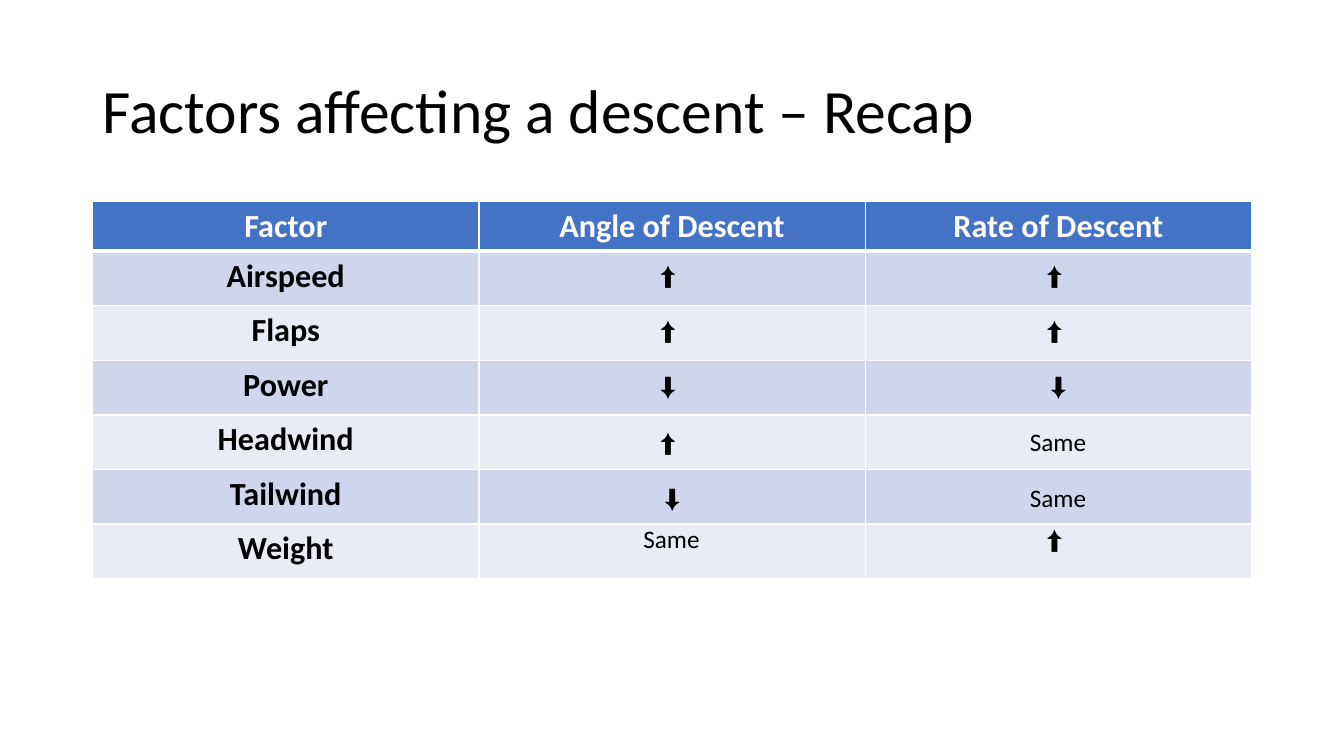
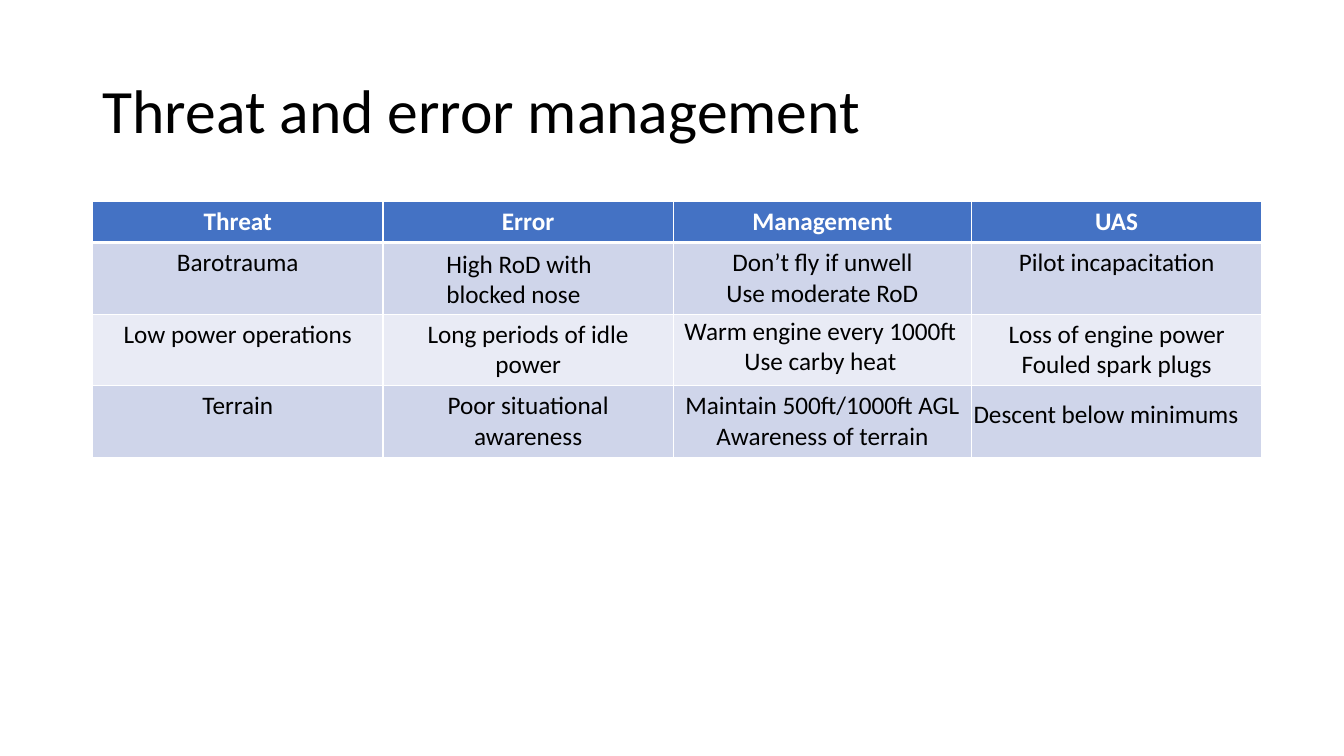
from lxml import etree
from pptx import Presentation
from pptx.dml.color import RGBColor
from pptx.enum.text import MSO_ANCHOR, MSO_AUTO_SIZE, PP_ALIGN
from pptx.oxml.ns import qn
from pptx.util import Pt

LEFT, CENTER = PP_ALIGN.LEFT, PP_ALIGN.CENTER
MIDDLE = MSO_ANCHOR.MIDDLE
NO_FIT, GROW = MSO_AUTO_SIZE.NONE, MSO_AUTO_SIZE.SHAPE_TO_FIT_TEXT

BLACK = RGBColor(0x00, 0x00, 0x00)
WHITE = RGBColor(0xFF, 0xFF, 0xFF)
HEADER_BLUE = RGBColor(0x44, 0x72, 0xC4)
BANDS = (RGBColor(0xCF, 0xD5, 0xEA), RGBColor(0xE9, 0xEB, 0xF5))

TEXT_FONT, ARROW_FONT = "Calibri", "Arial"
TEXT_SIZE = 18
SLIDE_WIDTH, SLIDE_HEIGHT = 960, 540
TITLE_BOX = (66, 28.8, 828, 104.4)
TABLE_LEFT, TABLE_TOP = 66.2, 144
THIN_RULE, HEADER_RULE = 1, 3
TITLE_ONLY_LAYOUT = 5

UP, DOWN, SAME = "⬆", "⬇", "Same"
FACTOR_HEADERS = ("Factor", "Angle of Descent", "Rate of Descent")
FACTOR_EFFECTS = (
    ("Airspeed", UP, UP),
    ("Flaps", UP, UP),
    ("Power", DOWN, DOWN),
    ("Headwind", UP, SAME),
    ("Tailwind", DOWN, SAME),
    ("Weight", SAME, UP),
)
CENTERED_ARROWS = {("Power", 2), ("Tailwind", 1)}
EFFECT_OFFSETS = (37.4, 77.2, 117, 156.8, 196.6, 226)

THREAT_ROWS = (
    ("Threat", "Error", "Management", "UAS"),
    ("Barotrauma", "", "Don’t fly if unwell\nUse moderate RoD", "Pilot incapacitation"),
    ("Low power operations", "Long periods of idle power", "",
     "Loss of engine power\nFouled spark plugs"),
    ("Terrain", "Poor situational awareness",
     "Maintain 500ft/1000ft AGL\nAwareness of terrain", ""),
)
# Text, box relative to the table corner, alignment
THREAT_NOTES = (
    ("High RoD with\nblocked nose", (245.6, 29.5, 123.8, 51), LEFT),
    ("Warm engine every 1000ft\nUse carby heat", (414, 77.8, 211.7, 51), CENTER),
    ("Descent below minimums", (622.1, 136.8, 205.9, 51), LEFT),
)


def format_text(text_frame, size, color, alignment, font=TEXT_FONT, bold=False):
    for paragraph in text_frame.paragraphs:
        paragraph.alignment = alignment
        for run in paragraph.runs:
            run.font.name = font
            run.font.size = Pt(size)
            run.font.bold = bold
            run.font.color.rgb = color


def add_titled_slide(presentation, title):
    slide = presentation.slides.add_slide(presentation.slide_layouts[TITLE_ONLY_LAYOUT])
    shape = slide.shapes.title
    shape.left, shape.top, shape.width, shape.height = map(Pt, TITLE_BOX)
    text_frame = shape.text_frame
    text_frame.text = title
    text_frame.auto_size = NO_FIT
    text_frame.vertical_anchor = MIDDLE
    text_frame.paragraphs[0].line_spacing = 0.9
    format_text(text_frame, 44, BLACK, LEFT)
    return slide


def set_borders(cell, top, bottom):
    """Draw white cell borders; must run before the cell is filled."""
    properties = cell._tc.get_or_add_tcPr()
    widths = {"a:lnL": THIN_RULE, "a:lnR": THIN_RULE, "a:lnT": top, "a:lnB": bottom}
    for tag, width in widths.items():
        line = etree.SubElement(properties, qn(tag), w=str(Pt(width)))
        fill = etree.SubElement(line, qn("a:solidFill"))
        etree.SubElement(fill, qn("a:srgbClr"), val=str(WHITE))


def add_banded_table(slide, rows, column_widths, header_height, row_height,
                     size=TEXT_SIZE, bold_body=False):
    heights = [header_height] + [row_height] * (len(rows) - 1)
    table = slide.shapes.add_table(
        len(rows), len(column_widths), Pt(TABLE_LEFT), Pt(TABLE_TOP),
        Pt(sum(column_widths)), Pt(sum(heights))).table
    table.horz_banding = False
    for column, width in zip(table.columns, column_widths):
        column.width = Pt(width)
    for row_index, texts in enumerate(rows):
        table.rows[row_index].height = Pt(heights[row_index])
        is_header = row_index == 0
        for column_index, text in enumerate(texts):
            cell = table.cell(row_index, column_index)
            set_borders(cell,
                        top=HEADER_RULE if row_index == 1 else THIN_RULE,
                        bottom=HEADER_RULE if is_header else THIN_RULE)
            cell.fill.solid()
            cell.fill.fore_color.rgb = HEADER_BLUE if is_header else BANDS[(row_index - 1) % 2]
            cell.text_frame.text = text
            format_text(cell.text_frame, size, WHITE if is_header else BLACK, CENTER,
                        bold=is_header or bold_body)


def add_table_note(slide, text, box, alignment, font=TEXT_FONT):
    """Place unwrapped text over the table, relative to the table corner."""
    left, top, width, height = box
    shape = slide.shapes.add_textbox(Pt(TABLE_LEFT + left), Pt(TABLE_TOP + top),
                                     Pt(width), Pt(height))
    text_frame = shape.text_frame
    text_frame.word_wrap = False
    text_frame.auto_size = GROW
    text_frame.text = text
    format_text(text_frame, TEXT_SIZE, BLACK, alignment, font)


def build_factors_slide(presentation):
    slide = add_titled_slide(presentation, "Factors affecting a descent – Recap")
    column_width = 276
    rows = [FACTOR_HEADERS] + [(factor, "", "") for factor, *_ in FACTOR_EFFECTS]
    add_banded_table(slide, rows, [column_width] * 3, 35.3, 39, size=23, bold_body=True)
    for (factor, *effects), top in zip(FACTOR_EFFECTS, EFFECT_OFFSETS):
        for column, effect in enumerate(effects, start=1):
            width, font = (55.4, TEXT_FONT) if effect == SAME else (31, ARROW_FONT)
            left = column_width * (column + 0.5) - width / 2
            alignment = CENTER if (factor, column) in CENTERED_ARROWS else LEFT
            add_table_note(slide, effect, (left, top, width, 29), alignment, font)


def build_threats_slide(presentation):
    slide = add_titled_slide(presentation, "Threat and error management")
    add_banded_table(slide, THREAT_ROWS, (207.4, 207.4, 213, 207.4), 29.2, 51.1)
    for text, box, alignment in THREAT_NOTES:
        add_table_note(slide, text, box, alignment)


def main():
    presentation = Presentation()
    presentation.slide_width, presentation.slide_height = Pt(SLIDE_WIDTH), Pt(SLIDE_HEIGHT)
    build_factors_slide(presentation)
    build_threats_slide(presentation)
    presentation.save("out.pptx")


if __name__ == "__main__":
    main()
